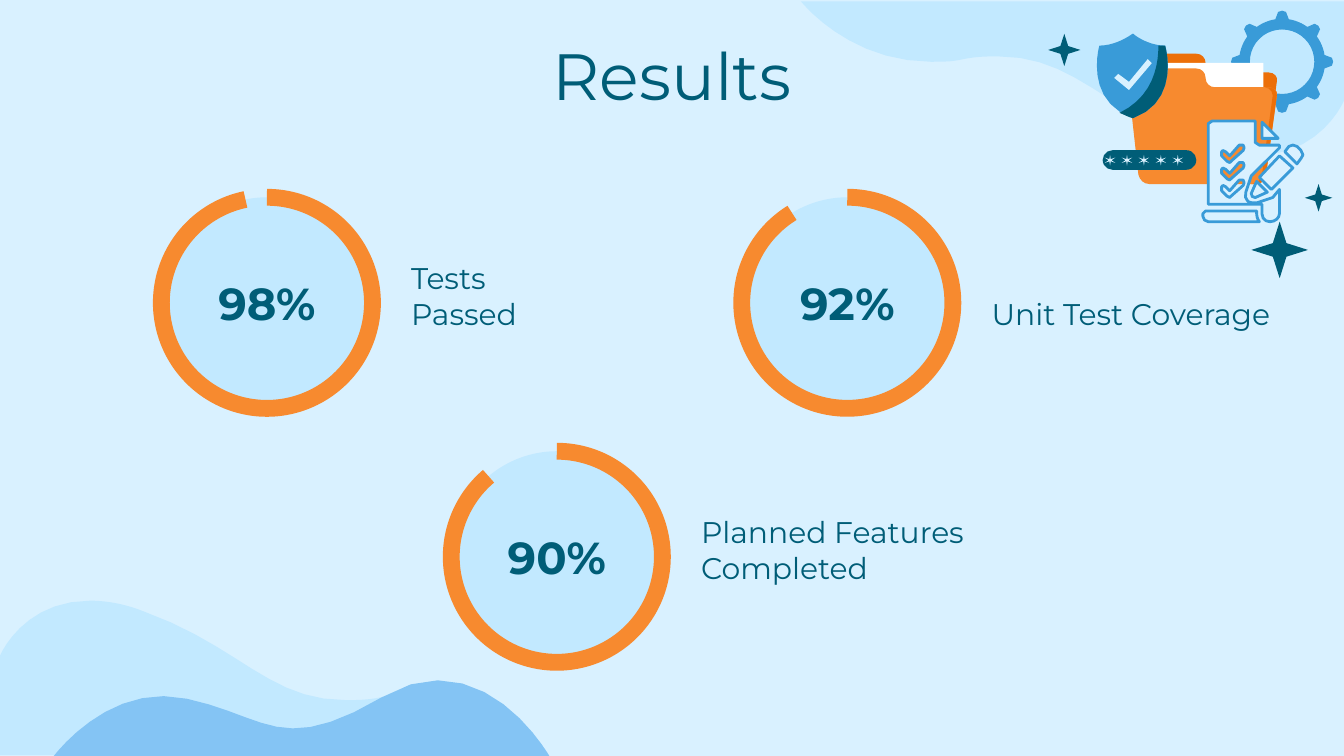
from math import cos, dist, pi, radians, sin, sqrt

from pptx import Presentation
from pptx.dml.color import RGBColor
from pptx.enum.shapes import MSO_SHAPE
from pptx.enum.text import MSO_ANCHOR, MSO_AUTO_SIZE, PP_ALIGN
from pptx.util import Cm, Pt

ELLIPSE, ARC = MSO_SHAPE.OVAL, MSO_SHAPE.ARC
STAR, ASTERISK = MSO_SHAPE.STAR_4_POINT, MSO_SHAPE.STAR_6_POINT
RECT, ROUNDED = MSO_SHAPE.RECTANGLE, MSO_SHAPE.ROUNDED_RECTANGLE
TOP, MIDDLE, BOTTOM = MSO_ANCHOR.TOP, MSO_ANCHOR.MIDDLE, MSO_ANCHOR.BOTTOM
LEFT, CENTER = PP_ALIGN.LEFT, PP_ALIGN.CENTER
NO_AUTOFIT = MSO_AUTO_SIZE.NONE

PALE = RGBColor(0xD9, 0xF1, 0xFF)
SKY = RGBColor(0xC2, 0xE9, 0xFF)
WAVE = RGBColor(0x84, 0xC4, 0xF4)
BLUE = RGBColor(0x39, 0x9B, 0xD8)
TEAL = RGBColor(0x00, 0x5D, 0x77)
ORANGE = RGBColor(0xF7, 0x8A, 0x2F)
DARK_ORANGE = RGBColor(0xEC, 0x6F, 0x09)
WHITE = RGBColor(0xFF, 0xFF, 0xFF)

FONT = "Montserrat"
UNIT = Cm(2.54) / 100  # grid of the outlines below
RING_SIZE = 3.99

# left, top, percentage, gap of the ring in degrees, label lines, label width
RESULTS = [
    (8.53, 8.53, "90%", 40.3, ["Planned Features Completed"], 5.99),
    (14.02, 3.73, "92%", 31.6, ["Unit Test Coverage"], 5.99),
    (3.05, 3.73, "98%", 11.7, ["Tests", "Passed"], 5.38),
]

WAVES = [
    ("M 1000 1 L 1000 75 C 1000 75 983 116 933 116 C 922 116 908 114 893 108 "
     "C 821 82 800 42 743 42 C 735 42 727 42 717 44 C 709 46 701 46 693 46 "
     "C 631 46 596 1 596 1", SKY),
    ("M 0 562 L 0 488 C 0 488 17 447 67 447 C 78 447 92 449 107 455 "
     "C 179 481 200 521 257 521 C 265 521 273 521 283 519 "
     "C 291 517 299 517 307 517 C 369 517 404 562 404 562", SKY),
    ("M 39 564 C 39 564 80 507 139 520 C 199 533 209 563 284 519 "
     "C 359 474 409 563 409 563", WAVE),
]

FOLDER = ("M 845 40 C 841 40 839 44 839 47 L 847 119 C 848 123 851 126 855 126 "
          "L 935 126 C 938 126 942 123 942 119 L 950 61 C 951 57 948 54 944 54 "
          "L 904 54 C 900 54 897 51 897 47 C 897 43 894 40 890 40")
FOLDER_EDGE = ("M 941 65 C 944 65 947 68 947 71 L 939 130 C 938 134 935 137 931 137 "
               "L 935 137 C 938 137 942 134 942 130 L 950 71 C 951 68 948 65 944 65")
SHIELD = [
    ("M 843 25 C 840 27 830 34 818 34 C 818 34 806 75 843 88 "
     "C 879 75 867 34 867 34 C 855 34 845 27 843 25", BLUE),
    ("M 854 44 L 840 61 L 832 55 L 829 58 L 840 67 L 857 47", PALE),
    ("M 862 34 C 862 49 858 72 833 84 C 836 85 839 87 843 88 "
     "C 879 75 867 34 867 34 C 865 34 863 34 862 34", TEAL),
]
PAPER = ("M 902 90 C 900 90 899 91 899 92 L 899 152 L 939 152 L 939 159 "
         "C 939 163 942 165 945 165 C 949 165 952 162 952 159 L 952 141 L 947 147 "
         "L 935 151 C 931 151 929 151 928 149 C 927 148 926 146 927 143 L 931 131 "
         "L 952 110 L 952 108 L 937 108 C 935 108 934 107 934 106 L 934 90")
CHECK = ("M 924 108 L 925 108 C 926 109 926 111 925 112 L 916 120 L 915 121 L 913 120 "
         "L 909 116 C 908 115 908 114 909 113 L 910 112 L 912 113 L 915 116 L 922 108")
PENCIL_AND_FOLDS = [
    "M 962 108 C 961 108 960 108 959 109 L 956 113 L 965 122 L 968 118 "
    "C 970 117 970 114 968 112 L 965 109 C 965 108 963 108 962 108",
    "M 935 135 L 931 144 C 931 146 932 147 934 147 L 943 143",
    "M 952 116 L 937 132 L 946 141 L 962 125",
    "M 939 91 L 939 103 L 951 103",
    "M 897 157 C 896 157 895 158 895 159 L 895 161 C 895 163 897 165 899 165 "
    "L 937 165 C 936 164 935 161 935 159 L 935 157",
]
# left, top, size
STARS = [(19.81, 0.64, 0.61), (23.65, 4.19, 1.07), (24.66, 3.48, 0.52)]


def trace(d, dy=0):
    """Turn M, L and C commands into one list of points, moved down by dy."""
    pts = []
    for command in d.replace("M", "L").replace("L", "|L").replace("C", "|C").split("|")[1:]:
        n = [float(v) for v in command[1:].split()]
        ends = list(zip(n[::2], n[1::2]))
        if command[0] == "L":
            pts += ends
            continue
        a, (b, c, e) = pts[-1], ends
        steps = max(1, min(10, round(dist(a, e) / 2.5)))
        for i in range(1, steps + 1):
            t = i / steps
            u = 1 - t
            pts.append(tuple(u**3 * a[k] + 3 * u * u * t * b[k] + 3 * u * t * t * c[k]
                             + t**3 * e[k] for k in (0, 1)))
    return [(x, y + dy) for x, y in pts]


def paint(s, fill, line=None):
    s.shadow.inherit = False
    if fill is None:
        s.fill.background()
    else:
        s.fill.solid()
        s.fill.fore_color.rgb = fill
    if line is None:
        s.line.fill.background()
    else:
        s.line.color.rgb, s.line.width = line


def add_outline(shapes, contours, fill, line=None):
    """Draw closed contours as one shape; inner contours become holes."""
    contours = [[(round(x * UNIT), round(y * UNIT)) for x, y in c] for c in contours]
    builder = shapes.build_freeform(*contours[0][0])
    for i, (start, *rest) in enumerate(contours):
        if i:
            builder.move_to(*start)
        builder.add_line_segments(rest, close=True)
    paint(builder.convert_to_shape(), fill, line)


def add_preset(shapes, kind, box, fill, line=None, adjust=()):
    s = shapes.add_shape(kind, *[Cm(v) for v in box])
    for i, value in enumerate(adjust):
        s.adjustments[i] = value
    paint(s, fill, line)
    return s


def write(s, lines, size, align, anchor, bold=False):
    tf = s.text_frame
    frame = {"word_wrap": True, "auto_size": NO_AUTOFIT, "vertical_anchor": anchor}
    frame.update({f"margin_{side}": Cm(0.25) for side in ("left", "top", "right", "bottom")})
    for name, value in frame.items():
        setattr(tf, name, value)
    for i, text in enumerate(lines):
        p = tf.add_paragraph() if i else tf.paragraphs[0]
        p.alignment, p.line_spacing = align, 1.0
        r = p.add_run()
        r.text = text
        for name, value in {"name": FONT, "size": Pt(size), "bold": bold}.items():
            setattr(r.font, name, value)
        r.font.color.rgb = TEAL


def add_result(slide, left, top, percent, gap, label, label_width):
    ring = slide.shapes.add_group_shape().shapes
    box = (left, top, RING_SIZE, RING_SIZE)
    disc = add_preset(ring, ELLIPSE, box, SKY)
    write(disc, [percent], 24, CENTER, MIDDLE, bold=True)
    # arc angles count 60000 per degree, adjustments 100000 per unit
    arc = add_preset(ring, ARC, box, None, (ORANGE, Pt(9)), [(270 + gap) * 0.6, 270 * 0.6])
    arc._element.spPr.xfrm.set("flipH", "1")
    tb = slide.shapes.add_textbox(Cm(left + 4.47), Cm(top + 1.24), Cm(label_width), Cm(1.55))
    write(tb, label, 16, LEFT, BOTTOM)


def gear_contours(cx=954, cy=46, rim=32, hole=24, knob=5, knob_at=33):
    """Rim with a round knob every 45 degrees, and the hole."""
    outer, inner = [], []
    for i in range(80):
        a = radians(4.5 * i)
        off = (a + pi / 8) % (pi / 4) - pi / 8
        reach = knob**2 - (knob_at * sin(off))**2
        r = max(rim, knob_at * cos(off) + sqrt(reach)) if reach > 0 else rim
        outer.append((cx + r * cos(a), cy + r * sin(a)))
        if i % 2 == 0:
            inner.append((cx + hole * cos(a), cy + hole * sin(a)))
    return [outer, inner]


def add_illustration(slide):
    art = slide.shapes.add_group_shape().shapes
    add_outline(art, gear_contours(), BLUE)
    add_outline(art, [trace(FOLDER)], DARK_ORANGE)
    add_preset(art, RECT, (21.59, 1.19, 2.29, 2.18), WHITE)
    add_outline(art, [trace(FOLDER, dy=11)], ORANGE)
    add_outline(art, [trace(FOLDER_EDGE)], DARK_ORANGE)
    for d, color in SHIELD:
        add_outline(art, [trace(d)], color)
    add_preset(art, ROUNDED, (20.84, 2.84, 1.77, 0.37), TEAL, adjust=[0.5])
    for i in range(5):
        add_preset(art, ASTERISK, (20.88 + 0.32 * i, 2.93, 0.2, 0.2), PALE, adjust=[0.12])
    for left, top, size in STARS:
        add_preset(art, STAR, (left, top, size, size), TEAL, adjust=[0.17])
    pen = (BLUE, Pt(1.5))
    checks = [trace(CHECK, dy=13 * i) for i in range(3)]
    add_outline(art, [trace(PAPER)] + checks, PALE, pen)
    for d in PENCIL_AND_FOLDS:
        add_outline(art, [trace(d)], PALE, pen)


def main():
    prs = Presentation()
    prs.slide_width, prs.slide_height = Cm(25.4), Cm(14.29)
    slide = prs.slides.add_slide(prs.slide_layouts[5])
    slide.background.fill.solid()
    slide.background.fill.fore_color.rgb = PALE
    for d, color in WAVES:
        add_outline(slide.shapes, [trace(d)], color)
    title = slide.shapes.title
    title.left, title.top, title.width, title.height = Cm(2), Cm(0.41), Cm(21.4), Cm(1.88)
    write(title, ["Results"], 35, CENTER, TOP)
    for result in RESULTS:
        add_result(slide, *result)
    add_illustration(slide)
    prs.save("out.pptx")


if __name__ == "__main__":
    main()
